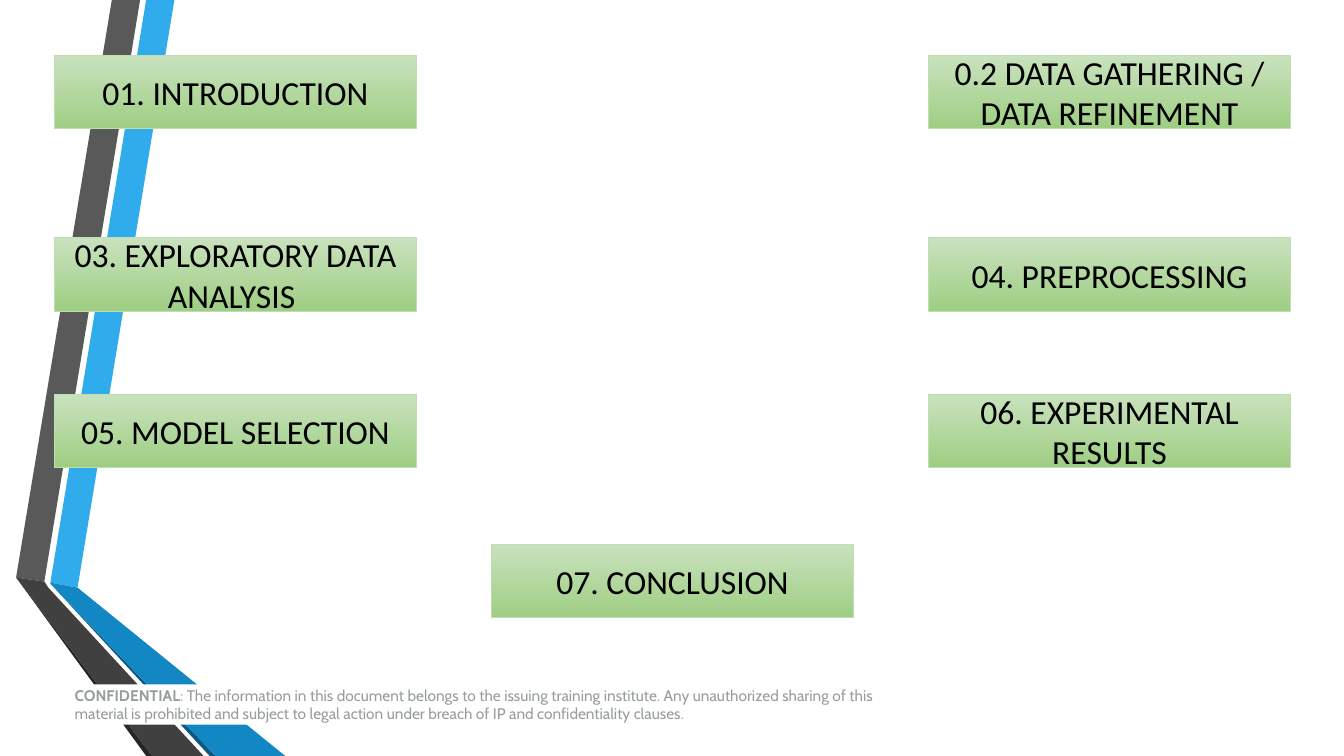
from pptx import Presentation
from pptx import util as u
from pptx.dml.color import RGBColor
from pptx.enum import shapes, text

SLIDE_WIDTH, SLIDE_HEIGHT = u.Inches(13.33), u.Inches(7.5)

WHITE = RGBColor(0xFF, 0xFF, 0xFF)
BLACK = RGBColor(0, 0, 0)
NOTICE_GREY = RGBColor(0x97, 0x9D, 0x9F)
CARD_TOP = RGBColor(0xC9, 0xE2, 0xBE)
CARD_BOTTOM = RGBColor(0x9E, 0xCE, 0x83)
CARD_LINE = RGBColor(0xC0, 0xDE, 0xB3)
BLUE = RGBColor(0x30, 0xAC, 0xEC)
BLUE_FOLD = RGBColor(0x12, 0x87, 0xC3)
BLUE_EDGE = RGBColor(0x0C, 0x5A, 0x82)
GREY = RGBColor(0x59, 0x59, 0x59)
GREY_FOLD = RGBColor(0x40, 0x40, 0x40)
GREY_EDGE = RGBColor(0x26, 0x26, 0x26)

# Ribbon outlines in inches, from back to front
RIBBONS = [
    (BLUE, [(0.5, 5.78), (0.77, 5.83), (1.73, 0), (1.45, 0)]),
    (GREY, [(1.39, 0), (1.11, 0), (0.16, 5.73), (0.44, 5.77)]),
    (GREY_EDGE, [(0.16, 5.73), (1.45, 7.5), (1.51, 7.5)]),
    (BLUE_EDGE, [(0.5, 5.79), (2.08, 7.5), (2.14, 7.5)]),
    (BLUE_FOLD, [(0.5, 5.78), (0.5, 5.79), (2.14, 7.5), (2.83, 7.5), (0.77, 5.83)]),
    (GREY_FOLD, [(2.02, 7.5), (0.48, 5.83), (0.44, 5.77), (0.16, 5.73), (1.51, 7.5)]),
]

# Agenda grid: three equal columns, four rows
COLUMN_LEFT, COLUMN_PITCH = 0.54, 4.335
ROW_TOPS = [0.55, 2.36, 3.91, 5.4]
CARD_WIDTH, CARD_HEIGHT = 3.59, 0.73
AGENDA = [  # column, row, wording
    (0, 0, "01. INTRODUCTION"),
    (2, 0, "0.2 DATA GATHERING / DATA REFINEMENT"),
    (0, 1, "03. EXPLORATORY DATA ANALYSIS "),
    (2, 1, "04. PREPROCESSING"),
    (0, 2, "05. MODEL SELECTION"),
    (2, 2, "06. EXPERIMENTAL RESULTS"),
    (1, 3, "07. CONCLUSION"),
]

NOTICE_HEAD = "CONFIDENTIAL"
NOTICE_BODY = (
    ": The information in this document belongs to the issuing training institute. "
    "Any unauthorized sharing of this material is prohibited and subject to legal "
    "action under breach of IP and confidentiality clauses."
)


def add_ribbon(slide, color, points):
    start, *others = [(u.Inches(x), u.Inches(y)) for x, y in points]
    builder = slide.shapes.build_freeform(*start)
    builder.add_line_segments(others, close=True)
    shape = builder.convert_to_shape()
    shape.shadow.inherit = False
    shape.fill.solid()
    shape.fill.fore_color.rgb = color
    shape.line.fill.background()


def add_box(slide, left, top, width, height):
    """Add a shadowless rectangle, measured in inches, with its text in the middle."""
    shape = slide.shapes.add_shape(
        shapes.MSO_SHAPE.RECTANGLE, *map(u.Inches, (left, top, width, height))
    )
    shape.shadow.inherit = False
    shape.text_frame.word_wrap = True
    shape.text_frame.vertical_anchor = text.MSO_ANCHOR.MIDDLE
    return shape


def style_paragraph(paragraph, font_name, size, color, alignment):
    paragraph.alignment = alignment
    paragraph.font.name = font_name
    paragraph.font.size = u.Pt(size)
    paragraph.font.color.rgb = color


def add_card(slide, column, row, wording):
    left = COLUMN_LEFT + column * COLUMN_PITCH
    shape = add_box(slide, left, ROW_TOPS[row], CARD_WIDTH, CARD_HEIGHT)
    shape.fill.gradient()
    shape.fill.gradient_angle = 270
    for stop, color in zip(shape.fill.gradient_stops, (CARD_TOP, CARD_BOTTOM)):
        stop.color.rgb = color
    shape.line.color.rgb = CARD_LINE
    shape.line.width = u.Pt(0.75)
    paragraph = shape.text_frame.paragraphs[0]
    paragraph.add_run().text = wording
    style_paragraph(paragraph, "Calibri", 24, BLACK, text.PP_ALIGN.CENTER)


def add_notice(slide):
    shape = add_box(slide, 0.74, 6.79, 8.17, 0.4)
    shape.fill.solid()
    shape.fill.fore_color.rgb = WHITE
    shape.line.fill.background()
    frame = shape.text_frame
    frame.margin_left = frame.margin_right = 0
    frame.margin_top = frame.margin_bottom = 0
    paragraph = frame.paragraphs[0]
    for wording, bold in ((NOTICE_HEAD, True), (NOTICE_BODY, False)):
        run = paragraph.add_run()
        run.text = wording
        run.font.bold = bold
    style_paragraph(paragraph, "Cabin", 11, NOTICE_GREY, text.PP_ALIGN.LEFT)


def main():
    presentation = Presentation()
    presentation.slide_width = SLIDE_WIDTH
    presentation.slide_height = SLIDE_HEIGHT
    slide = presentation.slides.add_slide(presentation.slide_layouts[6])
    for color, points in RIBBONS:
        add_ribbon(slide, color, points)
    add_notice(slide)
    for column, row, wording in AGENDA:
        add_card(slide, column, row, wording)
    presentation.save("out.pptx")


if __name__ == "__main__":
    main()
